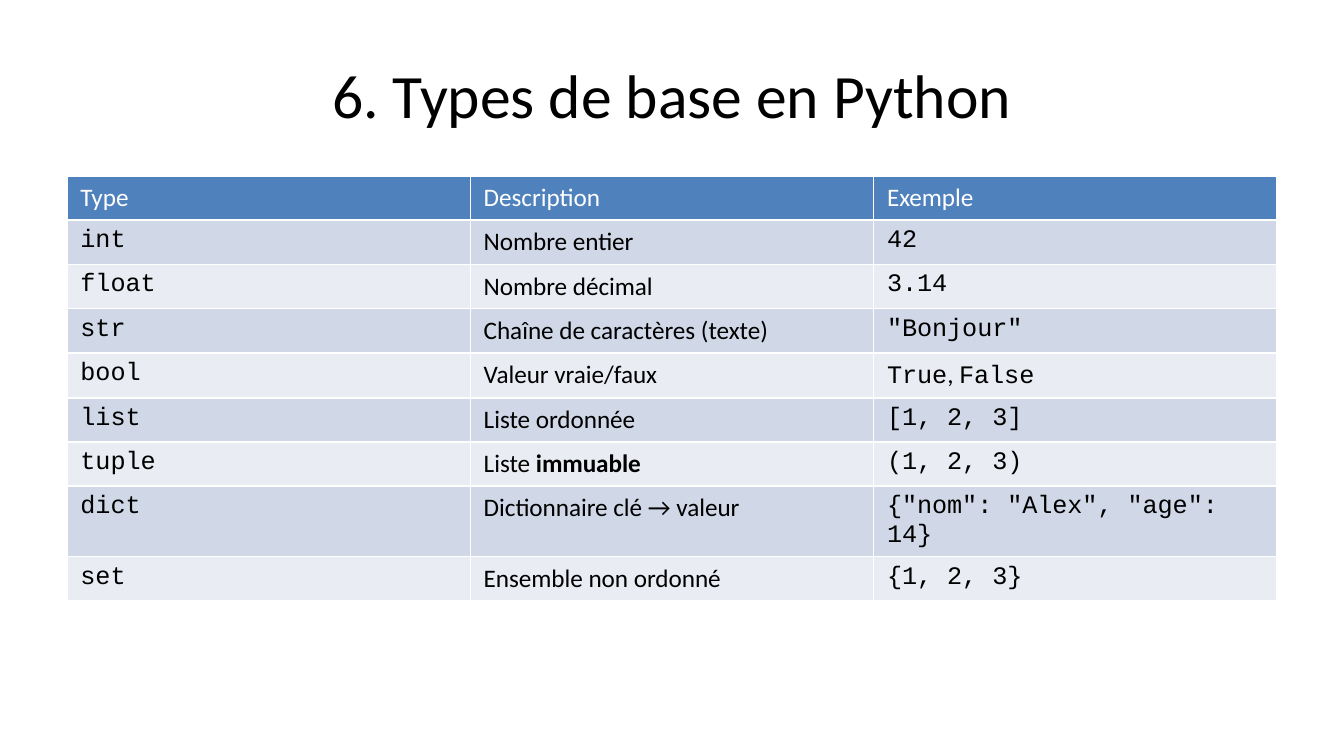
from lxml import etree
from pptx import Presentation
from pptx import util as u
from pptx.dml.color import RGBColor
from pptx.enum import text
from pptx.oxml.ns import qn

PX = 914400 / 134.4  # EMU in one px
BODY, CODE = "Calibri", "Courier New"
BLACK, WHITE = "000000", "FFFFFF"
HEAD, BANDS = "4F81BD", ("D0D8E7", "E9ECF3")


def px(n):
    return u.Emu(round(n * PX))


def rgb(code):
    return RGBColor.from_string(code)


def word(s, bold=False):
    return s, BODY, bold


def code(s):
    return s, CODE, False


class Deck:
    def __init__(self, wide, high):
        self.prs = Presentation()
        self.prs.slide_width, self.prs.slide_height = px(wide), px(high)
        self.slide = self.prs.slides.add_slide(self.prs.slide_layouts[5])

    def add_runs(self, par, runs, size, color):
        for s, face, bold in runs:
            run = par.add_run()
            run.text = s
            font = run.font
            font.name, font.size, font.bold = face, u.Pt(size), bold
            font.color.rgb = rgb(color)

    def title(self, box, s, size):
        shape = self.slide.shapes.title
        shape.left, shape.top, shape.width, shape.height = map(px, box)
        frame = shape.text_frame
        frame.auto_size = text.MSO_AUTO_SIZE.NONE
        frame.vertical_anchor = text.MSO_ANCHOR.MIDDLE
        par = frame.paragraphs[0]
        par.alignment = text.PP_ALIGN.CENTER
        self.add_runs(par, [word(s)], size, BLACK)

    def edge(self, cell, width, color):
        props = cell._tc.get_or_add_tcPr()
        for i, side in enumerate(("lnL", "lnR", "lnT", "lnB")):
            line = etree.Element(qn(f"a:{side}"), w=str(u.Pt(width)))
            fill = etree.SubElement(line, qn("a:solidFill"))
            etree.SubElement(fill, qn("a:srgbClr"), val=color)
            props.insert(i, line)  # borders come before the fill

    def table(self, box, rows, highs, size):
        grid = self.slide.shapes.add_table(
            len(rows), len(rows[0]), *map(px, box)).table
        for r, (row, high) in enumerate(zip(rows, highs)):
            grid.rows[r].height = px(high)
            back = BANDS[(r - 1) % 2] if r else HEAD
            for c, runs in enumerate(row):
                cell = grid.cell(r, c)
                cell.fill.solid()
                cell.fill.fore_color.rgb = rgb(back)
                self.edge(cell, 0.96, WHITE)
                self.add_runs(cell.text_frame.paragraphs[0], runs, size,
                              BLACK if r else WHITE)


# Type name, description runs, example runs
TYPES = [
    ("int", [word("Nombre entier")], [code("42")]),
    ("float", [word("Nombre décimal")], [code("3.14")]),
    ("str", [word("Chaîne de caractères (texte)")], [code('"Bonjour"')]),
    ("bool", [word("Valeur vraie/faux")],
     [code("True"), word(", "), code("False")]),
    ("list", [word("Liste ordonnée")], [code("[1, 2, 3]")]),
    ("tuple", [word("Liste "), word("immuable", True)], [code("(1, 2, 3)")]),
    ("dict", [word("Dictionnaire clé → valeur")],
     [code('{"nom": "Alex", "age": 14}')]),
    ("set", [word("Ensemble non ordonné")], [code("{1, 2, 3}")]),
]


def main():
    deck = Deck(1344, 756)

    # Title
    deck.title((67, 31, 1210, 126), "6. Types de base en Python", 33)

    # Table of types; the dict row holds two lines
    rows = [[[word(s)] for s in ("Type", "Description", "Exemple")]]
    rows += [[[code(name)], about, sample] for name, about, sample in TYPES]
    highs = [44] + [70 if name == "dict" else 44 for name, *_ in TYPES]
    deck.table((67, 176, 1210, sum(highs)), rows, highs, 13.5)

    deck.prs.save("out.pptx")


if __name__ == "__main__":
    main()
